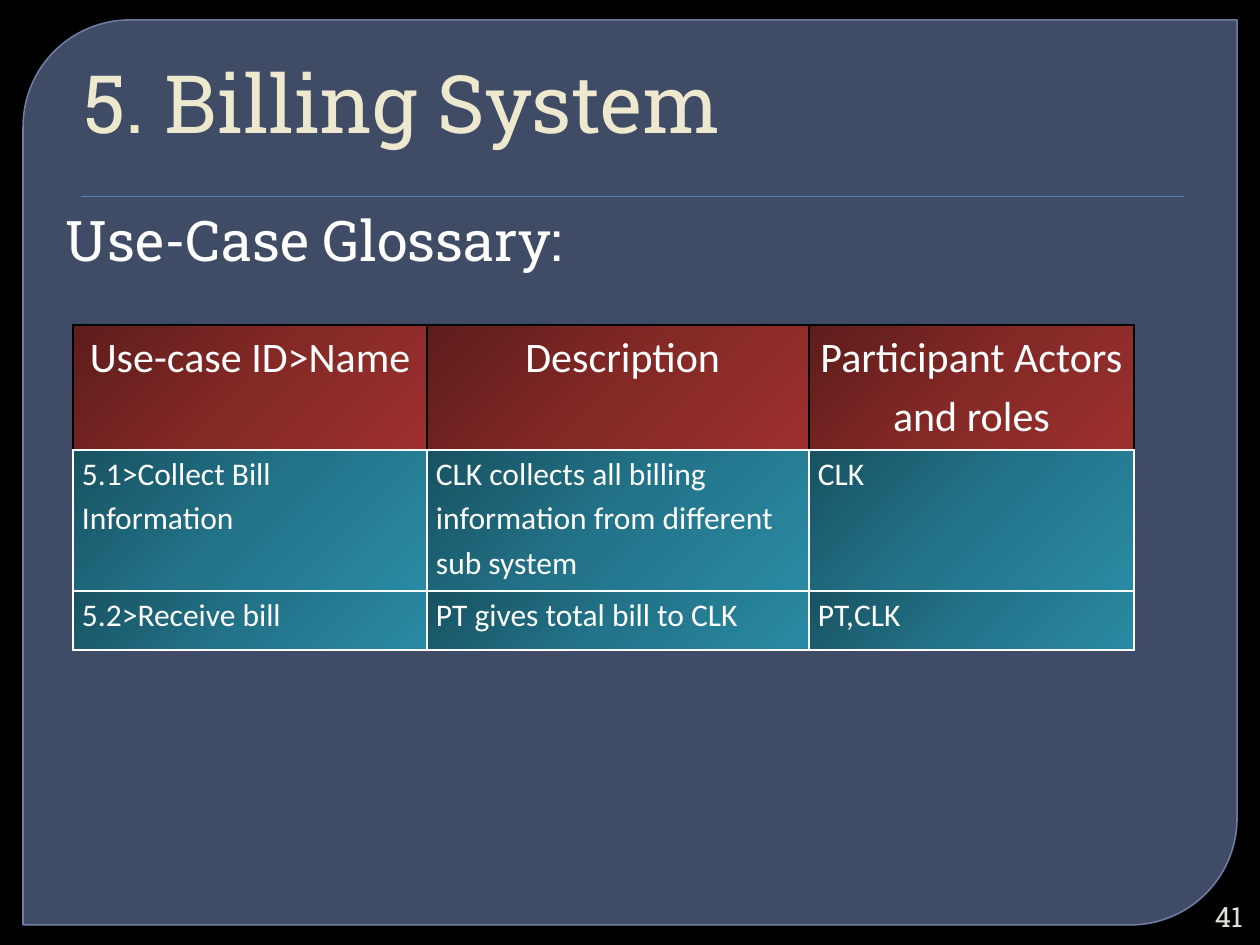
from lxml import etree
from pptx import Presentation
from pptx.dml.color import RGBColor
from pptx.enum.shapes import MSO_SHAPE
from pptx.enum.text import MSO_ANCHOR, PP_ALIGN
from pptx.oxml import parse_xml
from pptx.oxml.ns import nsdecls, qn
from pptx.util import Pt

PANEL_SHAPE = MSO_SHAPE.ROUND_2_DIAG_RECTANGLE
RULE_SHAPE = MSO_SHAPE.RECTANGLE
LEFT, CENTER, RIGHT = PP_ALIGN.LEFT, PP_ALIGN.CENTER, PP_ALIGN.RIGHT
TOP, MIDDLE, BOTTOM = MSO_ANCHOR.TOP, MSO_ANCHOR.MIDDLE, MSO_ANCHOR.BOTTOM
PX = 914400 / 126
SLAB = "Roboto Slab"


def color(value):
    return RGBColor.from_string(value)


def write(frame, text, size, font, value, align, anchor):
    frame.word_wrap = True
    frame.vertical_anchor = anchor
    para = frame.paragraphs[0]
    para.alignment = align
    span = para.add_run()
    span.text = text
    span.font.size = Pt(size)
    span.font.name = font
    span.font.bold = False
    span.font.color.rgb = color(value)
    return para


deck = Presentation()
deck.slide_width = round(1260 * PX)
deck.slide_height = round(945 * PX)
page = deck.slides.add_slide(deck.slide_layouts[1])
page.background.fill.solid()
page.background.fill.fore_color.rgb = color("000000")

panel = page.shapes.add_shape(PANEL_SHAPE, *[round(n * PX) for n in (23, 20, 1214, 905)])
panel.adjustments[0] = 0.118
panel.adjustments[1] = 0
panel.line.color.rgb = color("7989B3")
panel.line.width = Pt(0.87)
rule = page.shapes.add_shape(RULE_SHAPE, *[round(n * PX) for n in (81, 196, 1103, 1)])
rule.line.fill.background()
for depth, (shape, value) in enumerate([(panel, "63759D"), (rule, "4F81BD")], 2):
    shape.shadow.inherit = False
    shape.fill.solid()
    shape.fill.fore_color.rgb = color(value)
    page.shapes._spTree.insert(depth, shape._element)
for holder, alpha in [(panel.fill, 65000), (panel.line.fill, 88000)]:
    tint = holder._xPr.find(qn("a:solidFill"))[0]
    etree.SubElement(tint, qn("a:alpha")).set("val", str(alpha))

title, body = page.placeholders
number = page.shapes.add_textbox(0, 0, 0, 0)
texts = [
    (title, (63, -1, 1134, 157), "5. Billing System", 46, "EDE8CE", LEFT, BOTTOM, 0.06),
    (body, (53, 199, 1134, 777), "Use-Case Glossary:", 32, "FFFFFF", LEFT, TOP, 0),
    (number, (1191, 897, 64, 38), "41", 16, "E3E1D7", RIGHT, MIDDLE, 0),
]
for box, place, text, size, value, align, anchor, margin in texts:
    box.left, box.top, box.width, box.height = [round(n * PX) for n in place]
    para = write(box.text_frame, text, size, SLAB, value, align, anchor)
    para.space_before = Pt(0)
    props = para._p.get_or_add_pPr()
    props.set("marL", str(round(margin * 914400)))
    props.set("indent", "0")
    etree.SubElement(props, qn("a:buNone"))

rows = [
    ("Use-case ID>Name", " Description", "Participant Actors and roles"),
    ("5.1>Collect Bill Information",
     "CLK collects all billing information from different sub system", "CLK"),
    ("5.2>Receive bill", "PT gives total bill to CLK", "PT,CLK"),
]
widths = [354, 382, 325]
heights = [125, 141, 59]
place = (73, 325, sum(widths), sum(heights))
table = page.shapes.add_table(3, 3, *[round(n * PX) for n in place]).table
for column, width in zip(table.columns, widths):
    column.width = round(width * PX)
for row, height in zip(table.rows, heights):
    row.height = round(height * PX)

for i, words in enumerate(rows):
    head = i == 0
    stops = ("5D1D1B", "842926", "9C302E") if head else ("185261", "23748A", "298AA3")
    edge = "000000" if head else "FFFFFF"
    borders = [("lnL", edge), ("lnR", edge), ("lnT", edge), ("lnB", "FFFFFF")]
    if i == 1:
        borders[2] = ("lnT", "FFFFFF")
    for j, text in enumerate(words):
        cell = table.cell(i, j)
        cell.margin_left = cell.margin_right = round(9 * PX)
        cell.margin_top = cell.margin_bottom = 0
        para = write(cell.text_frame, text, 24 if head else 18, "Calibri", "FFFFFF",
                     CENTER if head else LEFT, TOP)
        para.line_spacing = 1.15
        props = cell._tc.get_or_add_tcPr()
        for side, value in borders:
            props.append(parse_xml(
                f'<a:{side} {nsdecls("a")} w="12700"><a:solidFill>'
                f'<a:srgbClr val="{value}"/></a:solidFill></a:{side}>'))
        marks = "".join(f'<a:gs pos="{k * 50000}"><a:srgbClr val="{value}"/></a:gs>'
                        for k, value in enumerate(stops))
        props.append(parse_xml(
            f'<a:gradFill {nsdecls("a")} rotWithShape="1"><a:gsLst>{marks}</a:gsLst>'
            '<a:lin ang="2700000" scaled="1"/></a:gradFill>'))

deck.save("out.pptx")
